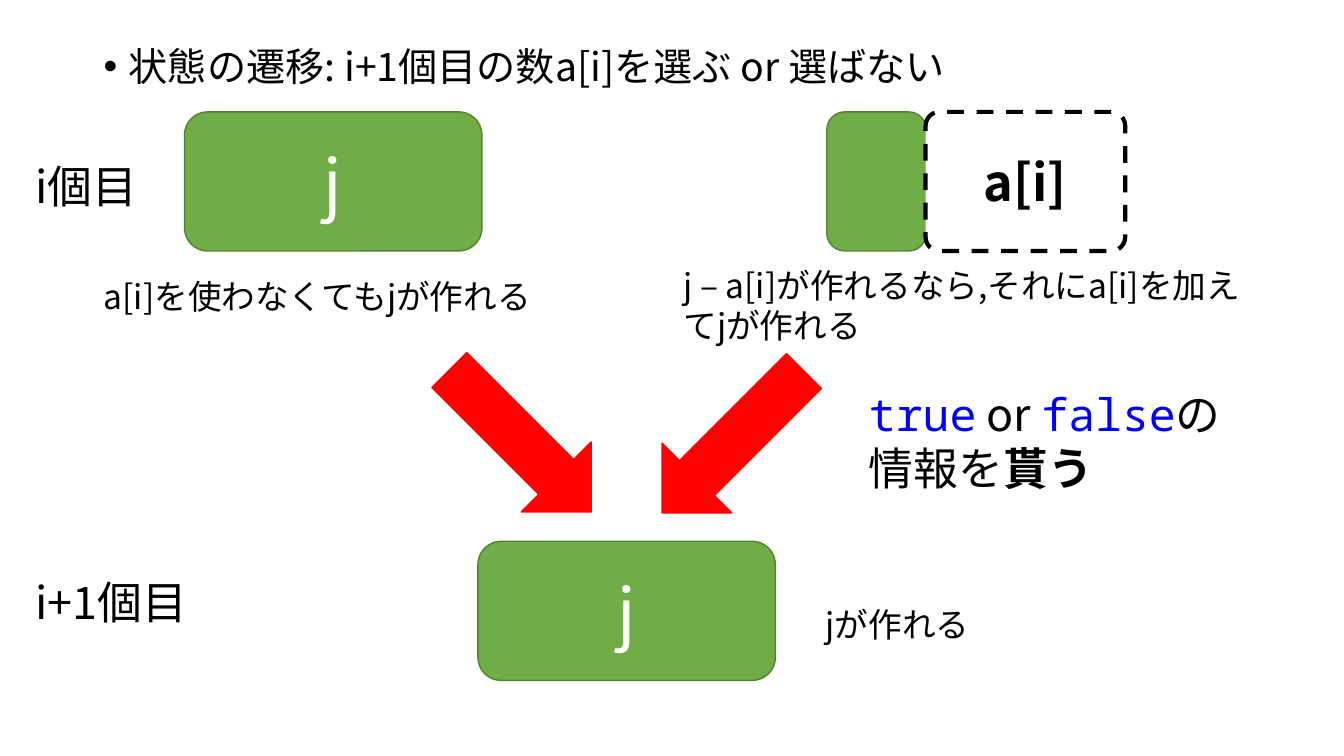
from dataclasses import dataclass

import lxml.etree
import pptx
import pptx.dml.color
import pptx.enum.dml
import pptx.enum.shapes
import pptx.enum.text
import pptx.oxml.ns
import pptx.util

RGBColor = pptx.dml.color.RGBColor
Shape = pptx.enum.shapes.MSO_SHAPE

BLACK = RGBColor(0x00, 0x00, 0x00)
WHITE = RGBColor(0xFF, 0xFF, 0xFF)
GREEN = RGBColor(0x70, 0xAD, 0x47)
DARK_GREEN = RGBColor(0x53, 0x81, 0x35)
RED = RGBColor(0xFF, 0x00, 0x00)
BLUE = RGBColor(0x00, 0x00, 0xFF)

SANS = "Noto Sans CJK JP"
MONO = "Noto Sans Mono"
EMU_PER_PX = 9144


@dataclass(frozen=True)
class Span:
    text: str
    color: RGBColor = BLACK
    face: str = SANS
    bold: bool = False


@dataclass(frozen=True)
class Caption:
    box: tuple[int, int, int, int]
    size: int
    lines: tuple[tuple[Span, ...], ...]
    bullet: bool = False


@dataclass(frozen=True)
class Block:
    box: tuple[int, int, int, int]
    label: Span | None = None
    size: int = 48
    kind: int = Shape.ROUNDED_RECTANGLE
    fill: RGBColor = GREEN
    line: RGBColor = DARK_GREEN
    line_width: int = 1
    dashed: bool = False
    corner: float | None = None
    rotation: int = 0


CAPTIONS = (
    Caption((93, 42, 1150, 59), 28,
            ((Span("状態の遷移: i+1個目の数a[i]を選ぶ or 選ばない"),),), bullet=True),
    Caption((93, 269, 529, 50), 24, ((Span("a[i]を使わなくてもjが作れる"),),)),
    Caption((668, 258, 575, 91), 24,
            ((Span("j – a[i]が作れるなら,それにa[i]を加えてjが作れる"),),)),
    Caption((25, 153, 136, 64), 32, ((Span("i個目"),),)),
    Caption((25, 565, 185, 64), 32, ((Span("i+1個目"),),)),
    Caption((809, 594, 175, 50), 24, ((Span("jが作れる"),),)),
    Caption((852, 379, 409, 118), 32, (
        (Span("true", BLUE, MONO), Span(" or "), Span("false", BLUE, MONO), Span("の")),
        (Span("情報を"), Span("貰う", bold=True)),
    )),
)

SUM_J = Span("j", WHITE)
BLOCKS = (
    Block((183, 111, 295, 138), SUM_J),
    Block((820, 111, 99, 138), corner=0.18),
    Block((918, 111, 198, 138), Span("a[i]", bold=True), 36, fill=WHITE,
          line=BLACK, line_width=3, dashed=True, corner=0.1),
    Block((474, 537, 295, 138), SUM_J),
    Block((467, 338, 98, 199), kind=Shape.DOWN_ARROW, fill=RED, line=RED, rotation=315),
    Block((678, 339, 98, 199), kind=Shape.DOWN_ARROW, fill=RED, line=RED, rotation=45),
)


def px(length: int) -> pptx.util.Emu:
    return pptx.util.Emu(length * EMU_PER_PX)


def set_font(font, span: Span) -> None:
    font.name = span.face
    font.bold = span.bold
    font.color.rgb = span.color
    east_asian = lxml.etree.SubElement(font._element if hasattr(font, "_element") else font._rPr,
                                       pptx.oxml.ns.qn("a:ea"))
    east_asian.set("typeface", span.face)


def write_line(paragraph, spans: tuple[Span, ...], size: int) -> None:
    paragraph.font.size = pptx.util.Pt(size)
    if len(spans) == 1:
        set_font(paragraph.font, spans[0])
    for span in spans:
        run = paragraph.add_run()
        run.text = span.text
        if len(spans) > 1:
            set_font(run.font, span)


def add_bullet(paragraph) -> None:
    paragraph.line_spacing = 0.9
    properties = paragraph._p.get_or_add_pPr()
    properties.set("marL", str(px(25)))
    properties.set("indent", str(px(-25)))
    lxml.etree.SubElement(properties, pptx.oxml.ns.qn("a:buFont")).set("typeface", "Arial")
    lxml.etree.SubElement(properties, pptx.oxml.ns.qn("a:buChar")).set("char", "•")


def draw_caption(slide, caption: Caption) -> None:
    frame = slide.shapes.add_textbox(*map(px, caption.box)).text_frame
    frame.word_wrap = True
    if not caption.bullet:
        frame.auto_size = pptx.enum.text.MSO_AUTO_SIZE.SHAPE_TO_FIT_TEXT
    for index, spans in enumerate(caption.lines):
        paragraph = frame.add_paragraph() if index else frame.paragraphs[0]
        if caption.bullet:
            add_bullet(paragraph)
        write_line(paragraph, spans, caption.size)


def draw_block(slide, block: Block) -> None:
    shape = slide.shapes.add_shape(block.kind, *map(px, block.box))
    shape.shadow.inherit = False
    shape.rotation = block.rotation
    shape.fill.solid()
    shape.fill.fore_color.rgb = block.fill
    shape.line.color.rgb = block.line
    shape.line.width = pptx.util.Pt(block.line_width)
    if block.dashed:
        shape.line.dash_style = pptx.enum.dml.MSO_LINE.DASH
    if block.corner is not None:
        shape.adjustments[0] = block.corner
    if block.label:
        frame = shape.text_frame
        frame.vertical_anchor = pptx.enum.text.MSO_ANCHOR.MIDDLE
        paragraph = frame.paragraphs[0]
        paragraph.alignment = pptx.enum.text.PP_ALIGN.CENTER
        write_line(paragraph, (block.label,), block.size)


def main() -> None:
    presentation = pptx.Presentation()
    presentation.slide_width = px(1333)
    presentation.slide_height = px(750)
    slide = presentation.slides.add_slide(presentation.slide_layouts[6])
    for block in BLOCKS:
        draw_block(slide, block)
    for caption in CAPTIONS:
        draw_caption(slide, caption)
    presentation.save("out.pptx")


if __name__ == "__main__":
    main()
